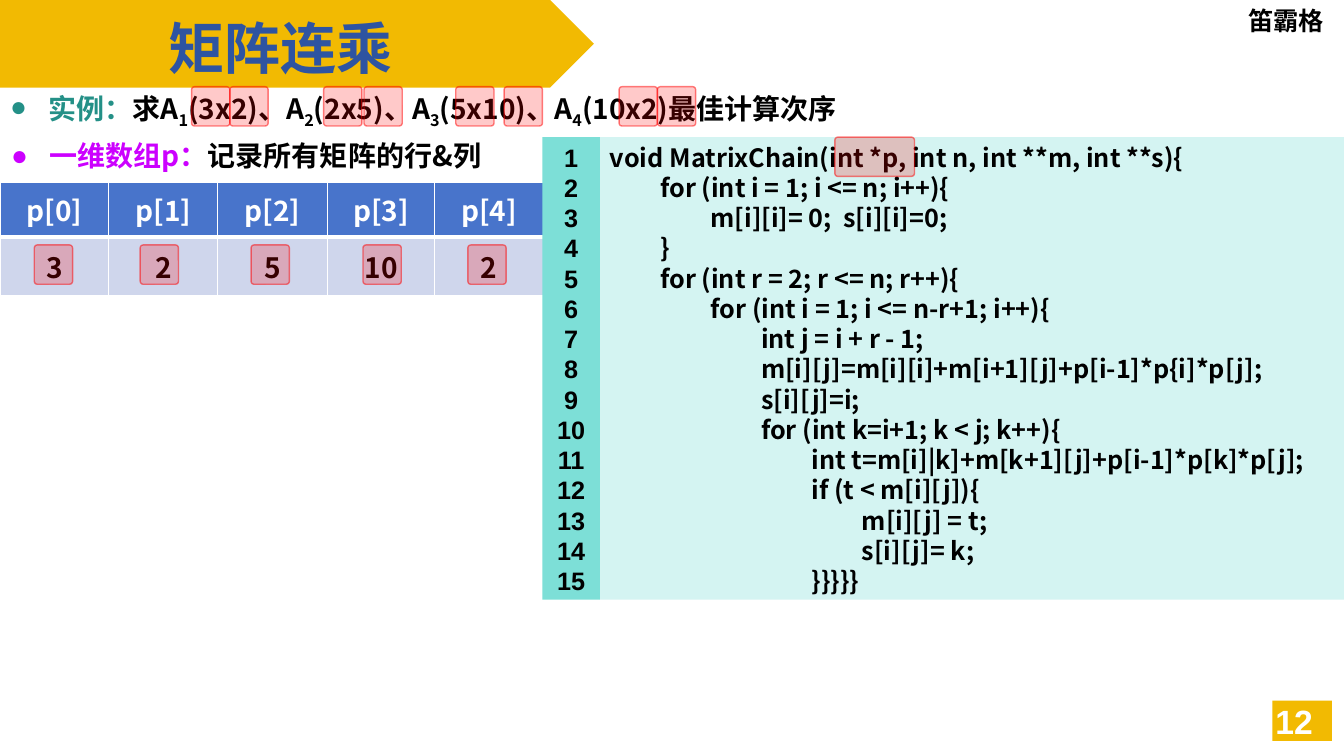
import dataclasses
import pptx
import pptx.dml.color
import pptx.enum.shapes
import pptx.enum.text
import pptx.oxml
import pptx.oxml.ns
import pptx.util

Inches = pptx.util.Inches
Pt = pptx.util.Pt
SHAPE = pptx.enum.shapes.MSO_SHAPE
ALIGN = pptx.enum.text.PP_ALIGN
ANCHOR = pptx.enum.text.MSO_ANCHOR
NS = pptx.oxml.ns.nsdecls("a")


@dataclasses.dataclass(frozen=True)
class Theme:
    """Colours, fonts and type sizes of the slide."""
    gold: str = "F2BA02"
    navy: str = "2E54A1"
    teal: str = "249087"
    violet: str = "CC00FF"
    red: str = "FF0000"
    black: str = "000000"
    white: str = "FFFFFF"
    header: str = "4874CB"
    row: str = "CFD6EC"
    code: str = "D4F4F2"
    gutter: str = "7DDFD7"
    cjk: str = "Noto Sans CJK SC"
    latin: str = "Arial"
    heading: str = "Calibri"
    title_size: int = 40
    number_size: int = 24
    body_size: int = 20
    code_size: int = 18


T = Theme()

CODE = [
    (0, "void MatrixChain(int *p, int n, int **m, int **s){"),
    (1, "for (int i = 1; i <= n; i++){"),
    (2, "m[i][i]= 0;  s[i][i]=0;"),
    (1, "}"),
    (1, "for (int r = 2; r <= n; r++){"),
    (2, "for (int i = 1; i <= n-r+1; i++){"),
    (3, "int j = i + r - 1;"),
    (3, "m[i][j]=m[i][i]+m[i+1][j]+p[i-1]*p{i]*p[j];"),
    (3, "s[i][j]=i;"),
    (3, "for (int k=i+1; k < j; k++){"),
    (4, "int t=m[i]|k]+m[k+1][j]+p[i-1]*p[k]*p[j];"),
    (4, "if (t < m[i][j]){"),
    (5, "m[i][j] = t;"),
    (5, "s[i][j]= k;"),
    (4, "}}}}}"),
]


def rgb(color):
    """Turn a hex string into a colour."""
    return pptx.dml.color.RGBColor.from_string(color)


def add_run(p, text, font=T.cjk, size=T.body_size, color=T.black, sub=False):
    """Add a bold run with the given format."""
    r = p.add_run()
    r.text = text
    r.font.name, r.font.size, r.font.bold = font, Pt(size), True
    r.font.color.rgb = rgb(color)
    rPr = r.font._element
    rPr.find(pptx.oxml.ns.qn("a:latin")).addnext(
        pptx.oxml.parse_xml(f'<a:ea {NS} typeface="{T.cjk}"/>'))
    if sub:
        rPr.set("baseline", "-25000")


def set_frame(sp, anchor=ANCHOR.TOP, wrap=True):
    """Fix wrapping and anchor, and return the text frame."""
    tf = sp.text_frame
    tf.auto_size = pptx.enum.text.MSO_AUTO_SIZE.NONE
    tf.word_wrap, tf.vertical_anchor = wrap, anchor
    return tf


def add_block(s, box, kind, color):
    """Add a filled shape without line or shadow."""
    sp = s.shapes.add_shape(kind, *map(Inches, box))
    sp.shadow.inherit = False
    sp.fill.solid()
    sp.fill.fore_color.rgb = rgb(color)
    sp.line.fill.background()
    return sp


def add_label(s, box, text, align=ALIGN.LEFT, anchor=ANCHOR.TOP, **style):
    """Add a one-line text box."""
    p = set_frame(s.shapes.add_textbox(*map(Inches, box)), anchor).paragraphs[0]
    p.alignment = align
    add_run(p, text, **style)


def place(s, idx, box):
    """Move a placeholder to its box, in front of earlier shapes."""
    sp = s.placeholders[idx]
    sp.left, sp.top, sp.width, sp.height = map(Inches, box)
    s.shapes._spTree.append(sp._element)
    return sp


def add_banner(s, box, text):
    """Draw the arrow banner and its title."""
    x, y, w, h = box
    add_block(s, box, SHAPE.PENTAGON, T.gold)
    sp = place(s, 0, (x + 1.57, y + 0.08, 2.42, 0.77))
    p = set_frame(sp, wrap=False).paragraphs[0]
    p.alignment = ALIGN.LEFT
    add_run(p, text, font=T.heading, size=T.title_size, color=T.navy)


def add_page_number(s, box, text):
    """Draw the page number on its gold tile."""
    x, y, w, h = box
    add_block(s, box, SHAPE.RECTANGLE, T.gold)
    add_label(s, (x - 0.2, y, 0.7, h), text, ALIGN.RIGHT, ANCHOR.MIDDLE,
              font=T.latin, size=T.number_size, color=T.white)


def add_bullet(s, idx, box, lead, color, parts):
    """Fill a body placeholder with one bullet; every second part is a subscript."""
    p = set_frame(place(s, idx, box)).paragraphs[0]
    p.line_spacing, p.space_before = 0.9, Pt(0)
    pPr = p._p.get_or_add_pPr()
    pPr.set("marL", str(Inches(0.38)))
    pPr.set("indent", str(Inches(-0.38)))
    pPr.append(pptx.oxml.parse_xml(f'<a:buFont {NS} typeface="{T.latin}"/>'))
    pPr.append(pptx.oxml.parse_xml(f'<a:buChar {NS} char="●"/>'))
    add_run(p, lead, color=color)
    for i, part in enumerate(parts):
        add_run(p, part, sub=i % 2 == 1)


def set_borders(cell, bottom):
    """Draw white cell borders, with the bottom one in the given width."""
    tcPr = cell._tc.get_or_add_tcPr()
    widths = {"lnL": 1, "lnR": 1, "lnT": 1, "lnB": bottom}
    for i, (side, width) in enumerate(widths.items()):
        tcPr.insert(i, pptx.oxml.parse_xml(
            f'<a:{side} {NS} w="{Pt(width)}"><a:solidFill>'
            f'<a:srgbClr val="{T.white}"/></a:solidFill></a:{side}>'))


def add_array(s, box, values):
    """Draw the array as a row of indices over a row of values."""
    table = s.shapes.add_table(2, len(values), *map(Inches, box)).table
    for col, width in zip(table.columns, (1.08, 1.08, 1.09, 1.06, 1.08)):
        col.width = Inches(width)
    indices = [f"p[{i}]" for i in range(len(values))]
    rows = ((indices, 0.54, T.header, T.white, 3), (values, 0.58, T.row, T.black, 1))
    for i, (texts, height, fill, color, bottom) in enumerate(rows):
        table.rows[i].height = Inches(height)
        for j, text in enumerate(texts):
            cell = table.cell(i, j)
            cell.fill.solid()
            cell.fill.fore_color.rgb = rgb(fill)
            cell.vertical_anchor = ANCHOR.MIDDLE
            set_borders(cell, bottom)
            p = cell.text_frame.paragraphs[0]
            p.alignment = ALIGN.CENTER
            add_run(p, text, color=color)


def add_lines(sp, lines, align, font):
    """Write lines of code at their depth into a shape."""
    tf = set_frame(sp)
    for i, (depth, text) in enumerate(lines):
        p = tf.add_paragraph() if i else tf.paragraphs[0]
        p.alignment, p.line_spacing = align, Pt(21.6)
        if depth:
            p.level = depth - 1
            pPr = p._p.get_or_add_pPr()
            pPr.set("marL", str(Inches(0.5 * (depth - 1))))
            pPr.set("indent", str(Inches(0.5)))
        add_run(p, text, font=font, size=T.code_size)


def add_code(s, box, lines):
    """Draw the listing with its line numbers."""
    x, y, w, h = box
    gutter = 0.57
    sp = add_block(s, (x + gutter, y, w - gutter, h), SHAPE.RECTANGLE, T.code)
    add_lines(sp, lines, ALIGN.LEFT, T.cjk)
    sp = add_block(s, (x, y, gutter, h), SHAPE.RECTANGLE, T.gutter)
    numbers = [(0, str(i + 1)) for i in range(len(lines))]
    add_lines(sp, numbers, ALIGN.CENTER, T.latin)


def add_marks(s, y, lefts, width=0.38):
    """Lay translucent red marks along one line."""
    for x in lefts:
        sp = add_block(s, (x, y, width, 0.39), SHAPE.ROUNDED_RECTANGLE, T.red)
        sp.adjustments[0] = 0.078
        sp.line.color.rgb = rgb(T.red)
        sp.line.width = Pt(1)
        for clr, alpha in zip(sp._element.spPr.iter(pptx.oxml.ns.qn("a:srgbClr")), (21, 49)):
            clr.append(pptx.oxml.parse_xml(f'<a:alpha {NS} val="{alpha * 1000}"/>'))


def main():
    """Build the slide and save it."""
    prs = pptx.Presentation()
    prs.slide_width, prs.slide_height = Inches(13.33), Inches(7.5)
    s = prs.slides.add_slide(prs.slide_layouts[3])
    add_banner(s, (0, 0, 5.89, 0.87), "矩阵连乘")
    add_label(s, (12.28, 0, 1.05, 0.4), "笛霸格", font=T.heading, size=T.code_size)
    add_page_number(s, (12.62, 6.95, 0.59, 0.4), "12")
    add_array(s, (0, 1.81, 5.38, 1.12), ["3", "2", "5", "10", "2"])
    add_bullet(s, 2, (0.01, 1.36, 5.37, 0.45), "一维数组p：", T.violet, ["记录所有矩阵的行&列"])
    add_bullet(s, 1, (0, 0.86, 13.33, 0.5), "实例：", T.teal,
               ["求A", "1", "(3x2)、A", "2", "(2x5)、A", "3", "(5x10)、A", "4",
                "(10x2)最佳计算次序"])
    add_code(s, (5.38, 1.36, 7.95, 4.59), CODE)
    add_marks(s, 1.36, [8.28], width=0.79)
    add_marks(s, 0.86, [1.9, 2.28, 3.21, 3.61, 4.52, 5, 6.14, 6.52])
    add_marks(s, 2.43, [0.34, 1.39, 2.49, 3.6, 4.64])
    prs.save("out.pptx")


if __name__ == "__main__":
    main()
